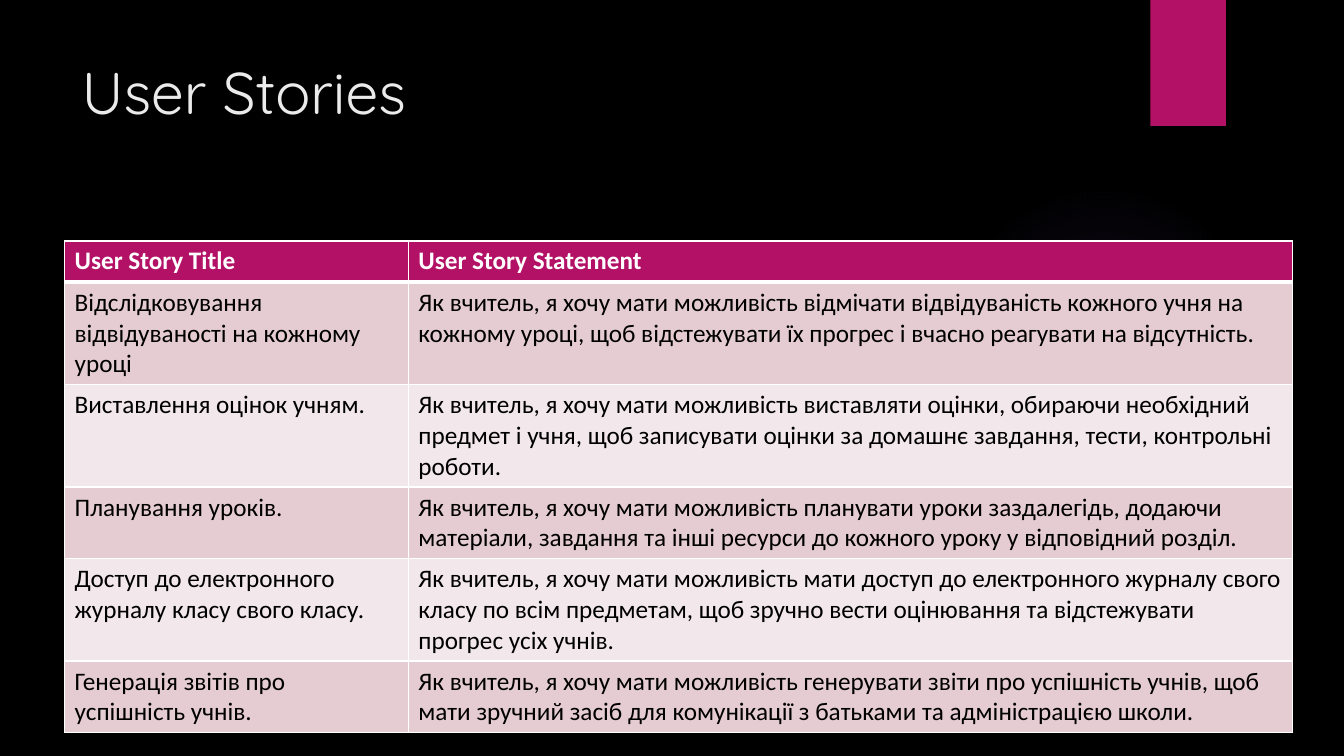
import dataclasses

import pptx
import pptx.dml.color
import pptx.enum.shapes
import pptx.enum.text
import pptx.oxml
import pptx.oxml.ns
import pptx.util
from pptx.util import Inches


@dataclasses.dataclass(frozen=True)
class Theme:
    background: str = "000000"
    accent: str = "B31166"
    glow: str = "9B6BF2"
    title: str = "EBEBEB"
    header_text: str = "FFFFFF"
    body_text: str = "000000"
    border: str = "FFFFFF"
    bands: tuple = ("E5CCD3", "F2E7EA")
    title_font: str = "Quicksand"
    table_font: str = "Calibri"
    title_size: int = 42
    table_size: int = 18


THEME = Theme()

COLUMN_WIDTHS = (3.41, 8.77)
ROW_HEIGHT = 0.41
STORIES = [
    ("User Story Title", "User Story Statement"),
    ("Відслідковування відвідуваності на кожному уроці",
     "Як вчитель, я хочу мати можливість відмічати відвідуваність кожного учня на кожному уроці, "
     "щоб відстежувати їх прогрес і вчасно реагувати на відсутність."),
    ("Виставлення оцінок учням.",
     "Як вчитель, я хочу мати можливість виставляти оцінки, обираючи необхідний предмет і учня, "
     "щоб записувати оцінки за домашнє завдання, тести, контрольні роботи."),
    ("Планування уроків.",
     "Як вчитель, я хочу мати можливість планувати уроки заздалегідь, додаючи матеріали, "
     "завдання та інші ресурси до кожного уроку у відповідний розділ."),
    ("Доступ до електронного журналу класу свого класу.",
     "Як вчитель, я хочу мати можливість мати доступ до електронного журналу свого класу "
     "по всім предметам, щоб зручно вести оцінювання та відстежувати прогрес усіх учнів."),
    ("Генерація звітів про успішність учнів.",
     "Як вчитель, я хочу мати можливість генерувати звіти про успішність учнів, "
     "щоб мати зручний засіб для комунікації з батьками та адміністрацією школи."),
]


def rgb(value):
    return pptx.dml.color.RGBColor.from_string(value)


def drawing_xml(markup):
    """Turn DrawingML markup into an element; its root tag takes the namespace."""
    tag, rest = markup.split(" ", 1)
    return pptx.oxml.parse_xml(f"{tag} {pptx.oxml.ns.nsdecls('a')} {rest}")


def fill_solid(target, color):
    target.fill.solid()
    target.fill.fore_color.rgb = rgb(color)


def write_text(frame, text, color, **formats):
    para = frame.paragraphs[0]
    span = para.add_run()
    span.text = text
    for name, value in formats.items():
        setattr(span.font, name, value)
    span.font.color.rgb = rgb(color)
    para.alignment = pptx.enum.text.PP_ALIGN.LEFT


def add_plain_shape(page, kind, left, top, width, height):
    shape = page.shapes.add_shape(kind, *map(Inches, (left, top, width, height)))
    shape.shadow.inherit = False
    shape.line.fill.background()
    return shape


def add_glow(page):
    glow = add_plain_shape(page, pptx.enum.shapes.MSO_SHAPE.OVAL, 9.41, 1.83, 3.08, 3.08)
    glow.fill.background()
    stops = "".join(
        f'<a:gs pos="{place * 1000}"><a:srgbClr val="{THEME.glow}">'
        f'<a:alpha val="{alpha * 1000}"/></a:srgbClr></a:gs>'
        for place, alpha in ((0, 7), (36, 6), (69, 0), (100, 0)))
    gradient = drawing_xml(
        f'<a:gradFill rotWithShape="1"><a:gsLst>{stops}</a:gsLst><a:path path="circle">'
        '<a:fillToRect l="50000" t="50000" r="50000" b="50000"/></a:path></a:gradFill>')
    properties = glow.element.spPr
    properties.replace(properties.find(pptx.oxml.ns.qn("a:noFill")), gradient)


def add_ribbon(page):
    ribbon = add_plain_shape(page, pptx.enum.shapes.MSO_SHAPE.RECTANGLE, 11.41, 0, 0.75, 1.25)
    fill_solid(ribbon, THEME.accent)
    effects = ribbon.element.spPr.find(pptx.oxml.ns.qn("a:effectLst"))
    effects.append(drawing_xml(
        f'<a:outerShdw blurRad="{pptx.util.Pt(3)}" dist="{pptx.util.Pt(2)}" dir="5400000" '
        'rotWithShape="0"><a:srgbClr val="000000"><a:alpha val="45000"/></a:srgbClr>'
        '</a:outerShdw>'))


def place_title(page, text):
    title = page.shapes.title
    box = {"left": 0.71, "top": 0.5, "width": 10.29, "height": 1.53}
    for name, value in box.items():
        setattr(title, name, Inches(value))
    title.text_frame.word_wrap = True
    title.text_frame.vertical_anchor = pptx.enum.text.MSO_ANCHOR.TOP
    write_text(title.text_frame, text, THEME.title,
               name=THEME.title_font, size=pptx.util.Pt(THEME.title_size))


def border_cell(cell, bottom_width):
    properties = cell._tc.get_or_add_tcPr()
    widths = {"L": 1, "R": 1, "T": 1, "B": bottom_width}
    for place, (side, width) in enumerate(widths.items()):
        properties.insert(place, drawing_xml(
            f'<a:ln{side} w="{pptx.util.Pt(width)}"><a:solidFill>'
            f'<a:srgbClr val="{THEME.border}"/></a:solidFill></a:ln{side}>'))


def add_story_table(page):
    frame = page.shapes.add_table(
        len(STORIES), len(COLUMN_WIDTHS), *map(Inches, (0.64, 2.39, 12.18, 4.81)))
    table = frame.table
    for column, width in zip(table.columns, COLUMN_WIDTHS):
        column.width = Inches(width)
    for index, (row, texts) in enumerate(zip(table.rows, STORIES)):
        row.height = Inches(ROW_HEIGHT)
        header = index == 0
        fill = THEME.accent if header else THEME.bands[(index - 1) % 2]
        color = THEME.header_text if header else THEME.body_text
        for cell, text in zip(row.cells, texts):
            fill_solid(cell, fill)
            border_cell(cell, 3 if header else 1)
            write_text(cell.text_frame, text, color, name=THEME.table_font,
                       size=pptx.util.Pt(THEME.table_size), bold=header)
    frame.height = Inches(4.81)


def main():
    deck = pptx.Presentation()
    deck.slide_width, deck.slide_height = Inches(13.33), Inches(7.5)
    page = deck.slides.add_slide(deck.slide_layouts.get_by_name("Title Only"))
    fill_solid(page.background, THEME.background)
    add_glow(page)
    add_ribbon(page)
    place_title(page, "User Stories")
    add_story_table(page)
    deck.save("out.pptx")


if __name__ == "__main__":
    main()
